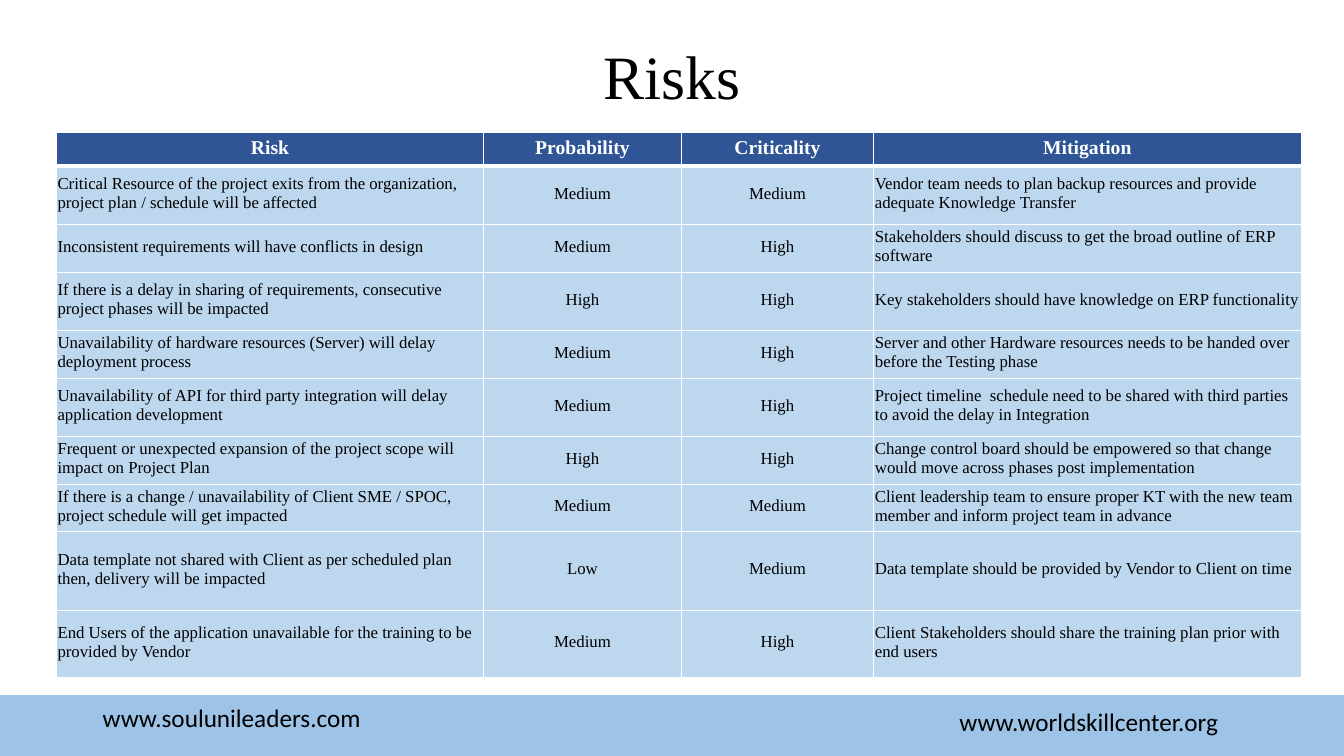
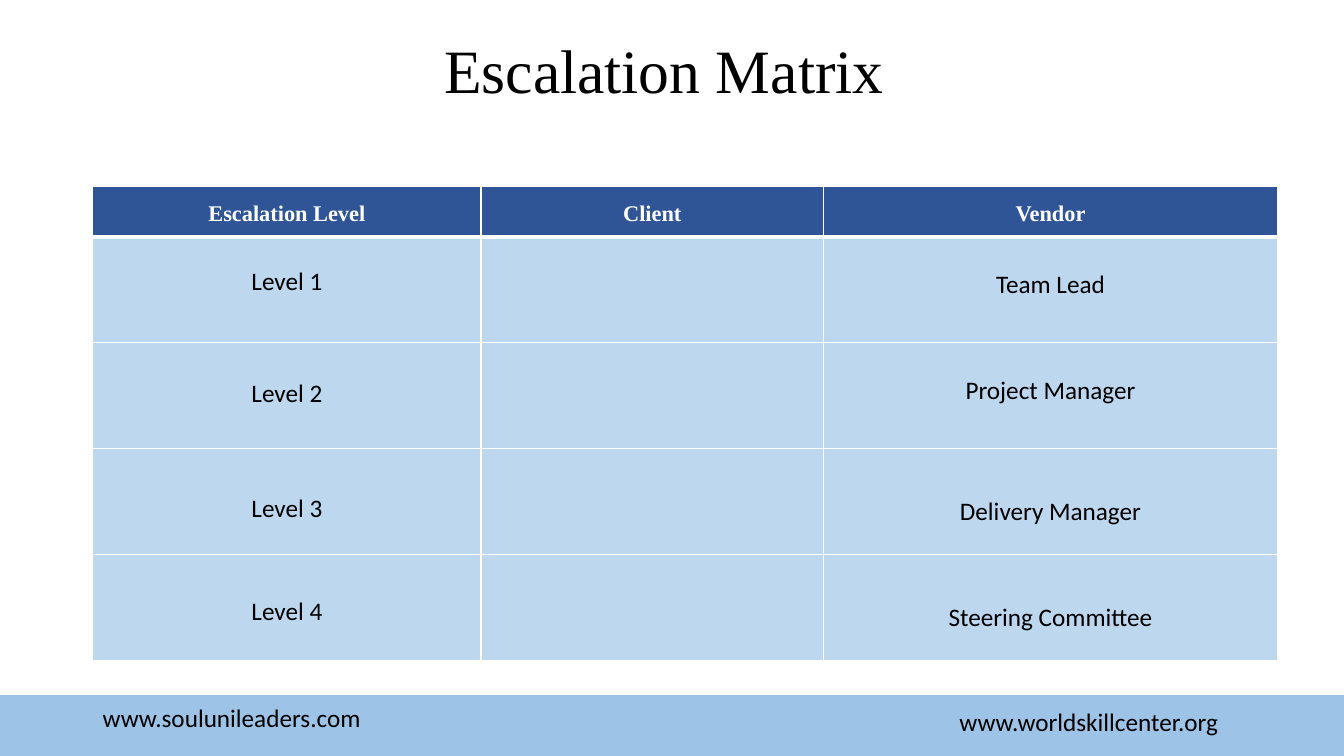
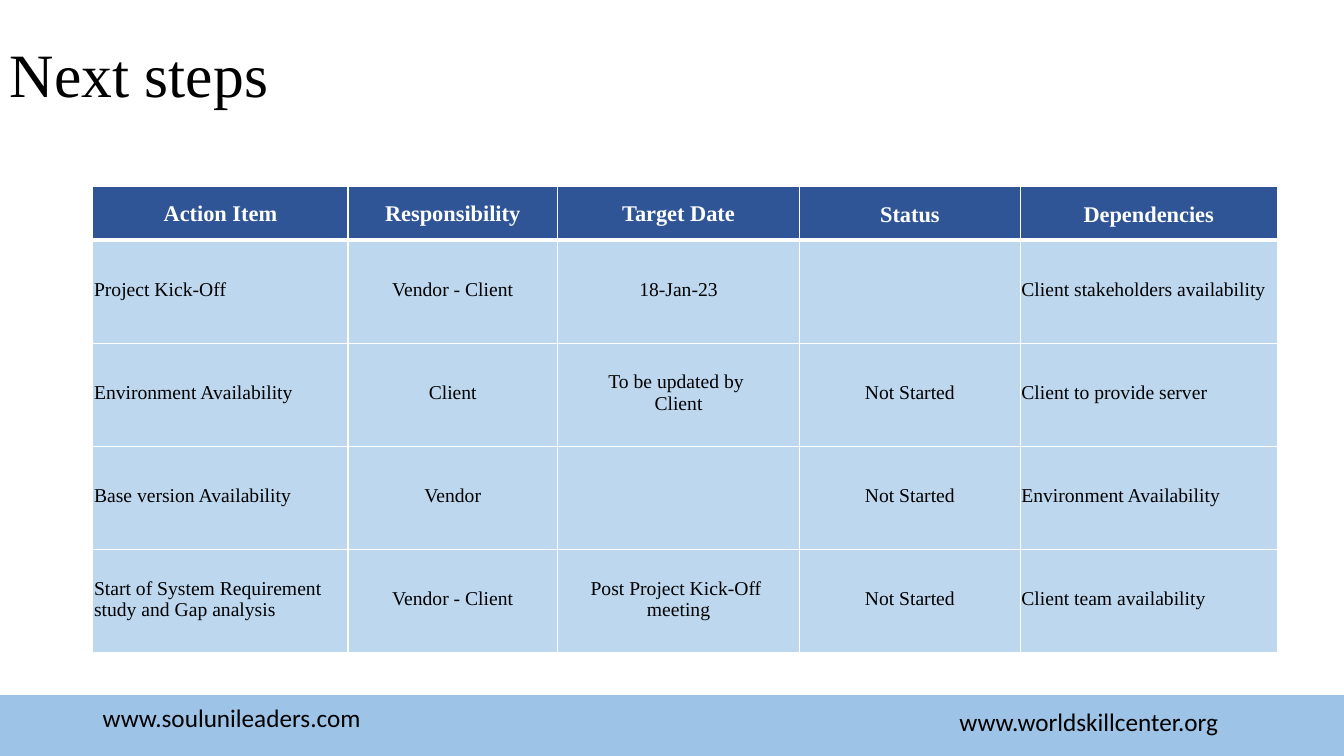
from pptx import Presentation
from pptx.dml.color import RGBColor
from pptx.enum.shapes import MSO_SHAPE
from pptx.enum.text import MSO_ANCHOR, PP_ALIGN
from pptx.oxml import parse_xml
from pptx.oxml.ns import nsdecls
from pptx.util import Cm, Pt

BAND_BLUE = RGBColor(0x9D, 0xC3, 0xE6)
HEADER_BLUE = RGBColor(0x2F, 0x55, 0x97)
CELL_BLUE = RGBColor(0xBD, 0xD7, 0xEE)
BLACK = RGBColor(0, 0, 0)
WHITE = RGBColor(0xFF, 0xFF, 0xFF)
SERIF, SANS = "Times New Roman", "Calibri"
CENTER, LEFT = PP_ALIGN.CENTER, PP_ALIGN.LEFT
WIDTH = Cm(33.87)

prs = Presentation()
prs.slide_width, prs.slide_height = WIDTH, Cm(19.05)


def add_page(title, bottom, align=CENTER):
    """Add a slide with the footer band, both web addresses and a title ending at bottom (cm)."""
    s = prs.slides.add_slide(prs.slide_layouts[6])
    band = s.shapes.add_shape(MSO_SHAPE.RECTANGLE, 0, Cm(17.53), WIDTH, Cm(1.52))
    band.shadow.inherit = False
    band.fill.solid()
    band.fill.fore_color.rgb = band.line.color.rgb = BAND_BLUE
    band.line.width = Pt(1)
    for text, left, top, width, height, font, size, anchor, al in [
        ("www.soulunileaders.com", 2.34, 17.58, 7.62, 1.02, SANS, 18, MSO_ANCHOR.MIDDLE, LEFT),
        ("www.worldskillcenter.org", 23.93, 17.68, 7.62, 1.02, SANS, 18, MSO_ANCHOR.MIDDLE, LEFT),
        (title, 0, bottom - 2, 33.87, 2, SERIF, 44, MSO_ANCHOR.BOTTOM, align),
    ]:
        tf = s.shapes.add_textbox(Cm(left), Cm(top), Cm(width), Cm(height)).text_frame
        tf.word_wrap = True
        tf.vertical_anchor = anchor
        p = tf.paragraphs[0]
        p.text = text
        p.alignment = al
        p.font.name, p.font.size, p.font.color.rgb = font, Pt(size), BLACK
        if text == title:
            p.line_spacing = 0.9
    return s


def add_grid(s, left, top, widths, heights, rows, head_size, size, font=SERIF, left_cols=()):
    """Add a table with a dark header row; columns in left_cols have left-aligned bodies."""
    table = s.shapes.add_table(len(rows), len(widths), Cm(left), Cm(top),
                               Cm(sum(widths)), Cm(sum(heights))).table
    table.horz_banding = False
    for column, width in zip(table.columns, widths):
        column.width = Cm(width)
    for i, (row, height) in enumerate(zip(rows, heights)):
        table.rows[i].height = Cm(height)
        for j, text in enumerate(row):
            cell = table.cell(i, j)
            header = i == 0
            thick = {0: "B", 1: "T"}.get(i)
            for side in "LRTB":
                cell._tc.get_or_add_tcPr().append(parse_xml(
                    f'<a:ln{side} {nsdecls("a")} w="{Pt(3 if side == thick else 1)}">'
                    f'<a:solidFill><a:srgbClr val="{WHITE}"/></a:solidFill></a:ln{side}>'))
            cell.fill.solid()
            cell.fill.fore_color.rgb = HEADER_BLUE if header else CELL_BLUE
            if font == SERIF and not header:
                cell.vertical_anchor = MSO_ANCHOR.MIDDLE
                cell.margin_left = cell.margin_right = cell.margin_top = Cm(0.03)
            cell.text = text
            for p in cell.text_frame.paragraphs:
                p.alignment = LEFT if j in left_cols and not header else CENTER
                for r in p.runs:
                    r.font.name = SERIF if header else font
                    r.font.size = Pt(head_size if header else size)
                    r.font.bold = header
                    r.font.color.rgb = WHITE if header else BLACK
    return table


# Risks
s = add_page("Risks", 2.97)
risks = [
    ("Risk", "Probability", "Criticality", "Mitigation"),
    ("Critical Resource of the project exits from the organization, project plan / schedule will be affected",
     "Medium", "Medium", "Vendor team needs to plan backup resources and provide adequate Knowledge Transfer"),
    ("Inconsistent requirements will have conflicts in design",
     "Medium", "High", "Stakeholders should discuss to get the broad outline of ERP software"),
    ("If there is a delay in sharing of requirements, consecutive project phases will be impacted",
     "High", "High", "Key stakeholders should have knowledge on ERP functionality"),
    ("Unavailability of hardware resources (Server) will delay deployment process",
     "Medium", "High", "Server and other Hardware resources needs to be handed over before the Testing phase"),
    ("Unavailability of API for third party integration will delay application development",
     "Medium", "High", "Project timeline  schedule need to be shared with third parties to avoid the delay in Integration"),
    ("Frequent or unexpected expansion of the project scope will impact on Project Plan",
     "High", "High", "Change control board should be empowered so that change would move across phases post implementation"),
    ("If there is a change / unavailability of Client SME / SPOC, project schedule will get impacted",
     "Medium", "Medium", "Client leadership team to ensure proper KT with the new team member and inform project team in advance"),
    ("Data template not shared with Client as per scheduled plan then, delivery will be impacted",
     "Low", "Medium", "Data template should be provided by Vendor to Client on time"),
    ("End Users of the application unavailable for the training to be provided by Vendor",
     "Medium", "High", "Client Stakeholders should share the training plan prior with end users"),
]
add_grid(s, 1.42, 3.33, [10.77, 4.98, 4.85, 10.77],
         [0.86, 1.47, 1.2, 1.47, 1.2, 1.47, 1.2, 1.2, 1.98, 1.7],
         risks, 14, 12, left_cols=(0, 3))

# Escalation matrix
s = add_page("Escalation Matrix ", 2.82)
levels = [
    ("Escalation Level", "Client", "Vendor"),
    ("Level 1", "", "Team Lead"),
    ("Level 2", "", "Project Manager"),
    ("Level 3", "", "Delivery Manager"),
    ("Level 4", "", "Steering Committee"),
]
table = add_grid(s, 2.34, 4.7, [9.78, 8.64, 11.43], [1.27] + [2.67] * 4, levels, 16, 18, font=SANS)
spacings = [(1.4, 1.4, 1.4), (1.8, 1, 1.9), (2, 1, 1.9), (2.3, 1, 2.4), (2.2, 1, 2.4)]
for i, row in enumerate(spacings):
    for j, spacing in enumerate(row):
        table.cell(i, j).text_frame.paragraphs[0].line_spacing = spacing

# Next steps
s = add_page("Next steps", 2.92, LEFT)
steps = [
    ("Action Item", "Responsibility", "Target Date", "Status", "Dependencies"),
    ("Project Kick-Off", "Vendor - Client", "18-Jan-23", "", "Client stakeholders availability"),
    ("Environment Availability", "Client", "To be updated by \nClient", "Not Started", "Client to provide server"),
    ("Base version Availability", "Vendor", "", "Not Started", "Environment Availability"),
    ("Start of System Requirement study and Gap analysis", "Vendor - Client",
     "Post Project Kick-Off \nmeeting", "Not Started", "Client team availability"),
]
table = add_grid(s, 2.34, 4.7, [6.43, 5.28, 6.1, 5.56, 6.48], [1.35] + [2.6] * 4,
                 steps, 16, 14, left_cols=(0, 4))
for j, spacing in enumerate([1.4, 1.4, 1.4, 1.6, 1.6]):
    cell = table.cell(0, j)
    cell.text_frame.paragraphs[0].line_spacing = spacing
    if spacing == 1.6:
        cell.margin_left = cell.margin_right = cell.margin_top = Cm(0.03)

prs.save("out.pptx")
